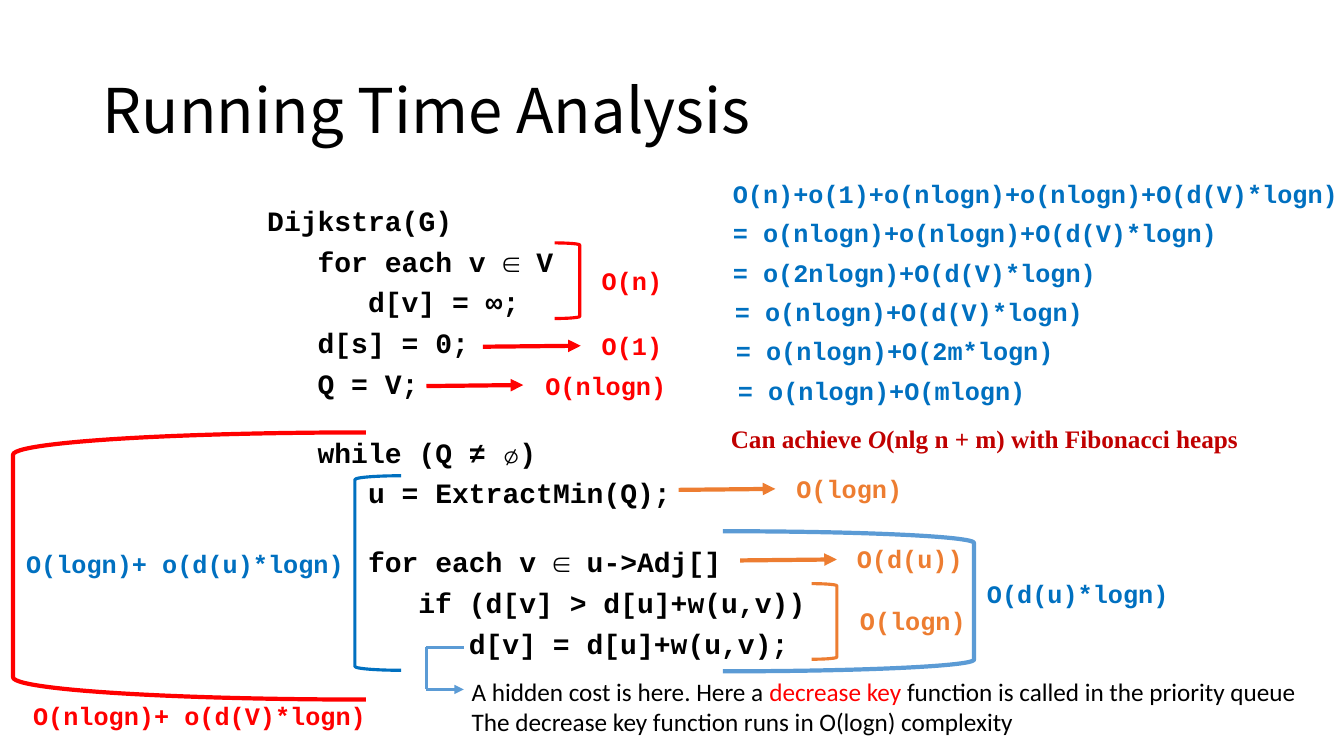
from dataclasses import dataclass

from lxml import etree
from pptx import Presentation
from pptx.dml.color import RGBColor
from pptx.enum.shapes import MSO_CONNECTOR, MSO_SHAPE
from pptx.enum.text import MSO_ANCHOR, MSO_AUTO_SIZE, PP_ALIGN
from pptx.oxml.ns import qn
from pptx.util import Inches, Pt

LEFT_BRACKET = MSO_SHAPE.LEFT_BRACKET
RIGHT_BRACKET = MSO_SHAPE.RIGHT_BRACKET
STRAIGHT = MSO_CONNECTOR.STRAIGHT
NO_AUTOFIT = MSO_AUTO_SIZE.NONE
GROW = MSO_AUTO_SIZE.SHAPE_TO_FIT_TEXT
MIDDLE, TOP = MSO_ANCHOR.MIDDLE, MSO_ANCHOR.TOP
LEFT = PP_ALIGN.LEFT

BLACK, RED, DARK_RED = "000000", "FF0000", "C00000"
ORANGE, BLUE, LIGHT_BLUE = "ED7D31", "0070C0", "5B9BD5"
CODE_FONT, NOTE_FONT = "Courier New", "Calibri"


@dataclass
class CodeLine:
    text: str
    level: int
    space_before: float = 10


@dataclass
class Cost:
    text: str
    left: float
    top: float
    color: str


@dataclass
class Piece:
    text: str
    color: str
    italic: bool = False


@dataclass
class Note:
    left: float
    top: float
    width: float
    font: str
    bold: bool
    pieces: list[Piece]


@dataclass
class Bracket:
    kind: int
    left: float
    top: float
    width: float
    height: float
    color: str
    weight: float


@dataclass
class Line:
    start: tuple[float, float]
    end: tuple[float, float]
    color: str
    weight: float = 3
    arrow: bool = True


CODE = [
    CodeLine("Dijkstra(G)", 0),
    CodeLine("for each v ∈ V", 1),
    CodeLine("d[v] = ∞;", 2),
    CodeLine("d[s] = 0;", 1),
    CodeLine("Q = V;", 1),
    CodeLine("while (Q ≠ ∅)", 1, 29.5),
    CodeLine("u = ExtractMin(Q);", 2),
    CodeLine("for each v ∈ u->Adj[]", 2, 29.5),
    CodeLine("if (d[v] > d[u]+w(u,v))", 3),
    CodeLine("d[v] = d[u]+w(u,v);", 4),
]
COSTS = [
    Cost("O(n)", 5.87, 2.58, RED),
    Cost("O(1)", 5.87, 3.23, RED),
    Cost("O(nlogn)", 5.31, 3.62, RED),
    Cost("O(logn)", 8.43, 5.96, ORANGE),
    Cost("O(d(u))", 8.4, 5.34, ORANGE),
    Cost("O(d(u)*logn)", 9.69, 5.69, BLUE),
    Cost("O(logn)", 7.8, 4.65, ORANGE),
    Cost("O(logn)+ o(d(u)*logn)", 0.16, 5.39, BLUE),
    Cost("O(nlogn)+ o(d(V)*logn)", 0.23, 6.9, RED),
]
DERIVATION = [
    (7.17, "O(n)+o(1)+o(nlogn)+o(nlogn)+O(d(V)*logn)"),
    (7.17, "= o(nlogn)+o(nlogn)+O(d(V)*logn)"),
    (7.17, "= o(2nlogn)+O(d(V)*logn)"),
    (7.19, "= o(nlogn)+O(d(V)*logn)"),
    (7.2, "= o(nlogn)+O(2m*logn)"),
    (7.22, "= o(nlogn)+O(mlogn)"),
]
BRACKETS = [
    Bracket(RIGHT_BRACKET, 5.5, 2.41, 0.25, 0.75, RED, 2.25),
    Bracket(RIGHT_BRACKET, 8.05, 5.79, 0.25, 0.75, ORANGE, 2.25),
    Bracket(RIGHT_BRACKET, 7.17, 5.27, 2.49, 1.39, LIGHT_BLUE, 3),
    Bracket(LEFT_BRACKET, 3.52, 4.72, 0.46, 1.93, BLUE, 2.25),
    Bracket(LEFT_BRACKET, 0.13, 4.29, 3.5, 2.65, RED, 3),
]
LINES = [
    Line((4.79, 3.44), (5.76, 3.43), RED),
    Line((4.23, 3.83), (5.19, 3.82), RED),
    Line((7.34, 5.56), (8.3, 5.55), ORANGE),
    Line((6.73, 4.86), (7.69, 4.85), ORANGE),
    Line((4.6, 6.42), (4.23, 6.42), LIGHT_BLUE, 2.25, False),
    Line((4.23, 6.42), (4.23, 6.84), LIGHT_BLUE, 2.25, False),
    Line((4.23, 6.84), (4.6, 6.84), LIGHT_BLUE, 2.25),
]
NOTES = [
    Note(7.15, 4.15, 5.27, "Times New Roman", True, [
        Piece("Can achieve ", DARK_RED),
        Piece("O", DARK_RED, True),
        Piece("(nlg n + m) with Fibonacci heaps", DARK_RED)]),
    Note(4.58, 6.66, 8.56, NOTE_FONT, False, [
        Piece("A hidden cost is here. Here a ", BLACK),
        Piece("decrease key ", RED),
        Piece("function is called in the priority queue", BLACK)]),
    Note(4.58, 6.96, 5.64, NOTE_FONT, False, [
        Piece("The decrease key function runs in O(logn) complexity", BLACK)]),
]


def rgb(color: str) -> RGBColor:
    return RGBColor.from_string(color)


def style(font, name: str, size: float, color: str, bold: bool = False) -> None:
    font.name, font.size, font.bold = name, Pt(size), bold
    font.color.rgb = rgb(color)


def place(shape, left: float, top: float, width: float, height: float) -> None:
    shape.left, shape.top = Inches(left), Inches(top)
    shape.width, shape.height = Inches(width), Inches(height)


def add_title(slide, text: str) -> None:
    title = slide.shapes.title
    place(title, 0.92, 0.4, 11.5, 1.45)
    frame = title.text_frame
    frame.text = text
    frame.auto_size, frame.vertical_anchor = NO_AUTOFIT, MIDDLE
    paragraph = frame.paragraphs[0]
    paragraph.alignment, paragraph.line_spacing = LEFT, 0.9
    style(paragraph.font, "Noto Sans CJK SC", 44, BLACK)


def add_code(slide, lines: list[CodeLine]) -> None:
    body = slide.placeholders[1]
    place(body, 2.55, 2.03, 9, 4.75)
    frame = body.text_frame
    frame.text = "\n".join(line.text for line in lines)
    frame.auto_size, frame.vertical_anchor = NO_AUTOFIT, TOP
    for paragraph, line in zip(frame.paragraphs, lines):
        paragraph.line_spacing = 0.8
        paragraph.space_before = Pt(line.space_before)
        style(paragraph.font, CODE_FONT, 20, BLACK, True)
        properties = paragraph._p.get_or_add_pPr()
        properties.set("marL", str(Inches(0.25 + 0.5 * line.level)))
        properties.set("indent", str(Inches(-0.25)))
        properties.insert_element_before(
            etree.Element(qn("a:buNone")), "a:tabLst", "a:defRPr", "a:extLst")


def add_note(slide, note: Note) -> None:
    box = slide.shapes.add_textbox(
        Inches(note.left), Inches(note.top), Inches(note.width), Inches(0.4))
    frame = box.text_frame
    frame.word_wrap, frame.auto_size = False, GROW
    paragraph = frame.paragraphs[0]
    style(paragraph.font, note.font, 18, note.pieces[0].color, note.bold)
    for piece in note.pieces:
        run = paragraph.add_run()
        run.text = piece.text
        if piece.color != note.pieces[0].color:
            run.font.color.rgb = rgb(piece.color)
        if piece.italic:
            run.font.italic = True


def add_cost(slide, cost: Cost) -> None:
    width = 0.2 + 0.15 * len(cost.text)
    add_note(slide, Note(cost.left, cost.top, width, CODE_FONT, True,
                         [Piece(cost.text, cost.color)]))


def add_bracket(slide, bracket: Bracket) -> None:
    shape = slide.shapes.add_shape(bracket.kind, 0, 0, 0, 0)
    place(shape, bracket.left, bracket.top, bracket.width, bracket.height)
    shape.shadow.inherit = False
    shape.fill.background()
    shape.line.color.rgb, shape.line.width = rgb(bracket.color), Pt(bracket.weight)


def add_line(slide, line: Line) -> None:
    ends = [Inches(value) for value in (*line.start, *line.end)]
    connector = slide.shapes.add_connector(STRAIGHT, *ends)
    connector.line.color.rgb, connector.line.width = rgb(line.color), Pt(line.weight)
    if line.arrow:
        outline = connector.line._get_or_add_ln()
        etree.SubElement(outline, qn("a:tailEnd"), type="triangle")
    etree.SubElement(connector._element.spPr, qn("a:effectLst"))


def main() -> None:
    presentation = Presentation()
    presentation.slide_width, presentation.slide_height = Inches(13.33), Inches(7.5)
    slide = presentation.slides.add_slide(presentation.slide_layouts[1])
    # Title and pseudocode
    add_title(slide, "Running Time Analysis")
    add_code(slide, CODE)
    # Brackets and arrows from code to cost
    for bracket in BRACKETS:
        add_bracket(slide, bracket)
    for line in LINES:
        add_line(slide, line)
    # Costs, derivation of the total, and notes
    for cost in COSTS:
        add_cost(slide, cost)
    for row, (left, text) in enumerate(DERIVATION):
        add_cost(slide, Cost(text, left, 1.72 + 0.39 * row, BLUE))
    for note in NOTES:
        add_note(slide, note)
    presentation.save("out.pptx")


if __name__ == "__main__":
    main()
